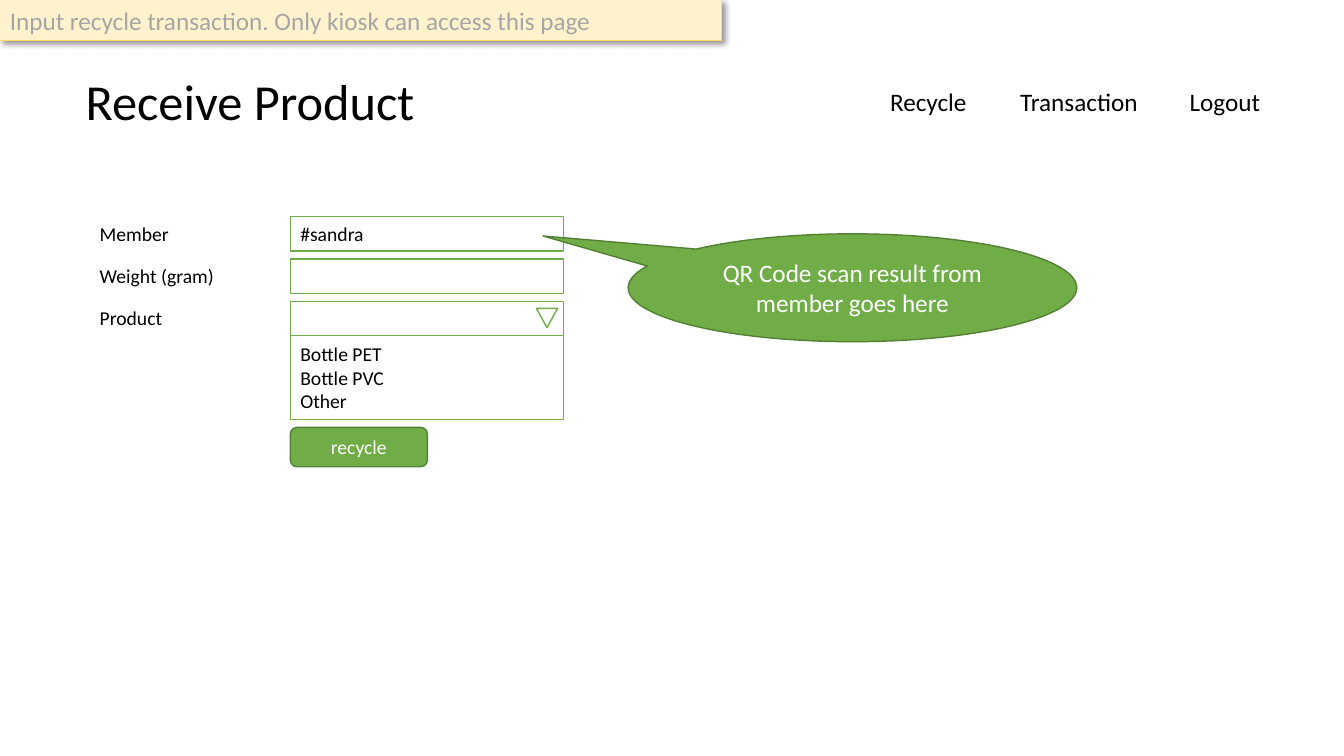
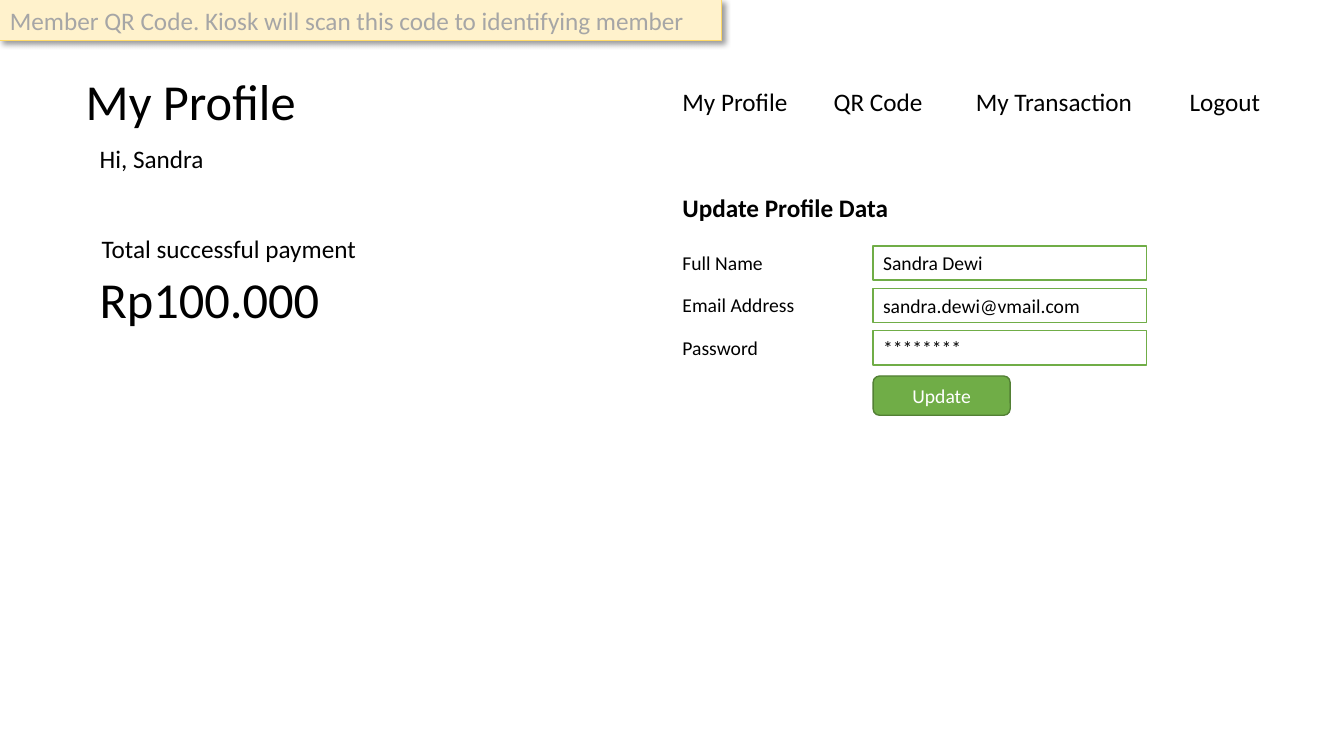
import dataclasses

import pptx
import pptx.dml.color
import pptx.enum.shapes
import pptx.enum.text
import pptx.oxml
import pptx.oxml.ns
import pptx.util

Inches = pptx.util.Inches
SHAPE = pptx.enum.shapes.MSO_SHAPE
ALIGN = pptx.enum.text.PP_ALIGN
ANCHOR = pptx.enum.text.MSO_ANCHOR
AUTO_SIZE = pptx.enum.text.MSO_AUTO_SIZE


@dataclasses.dataclass(frozen=True)
class Theme:
    font: str = "Calibri"
    black: str = "000000"
    white: str = "FFFFFF"
    green: str = "70AD47"
    dark_green: str = "538035"
    note_fill: str = "FFF2CC"
    note_line: str = "FFD966"
    note_text: str = "A6A6A6"
    large: int = 36
    medium: int = 18
    small: int = 14


THEME = Theme()
LINE_WIDTH = 1
FIELD_OFFSET = 1.99
FIELD_WIDTH = 2.71
ROW_HEIGHT = 0.34
ROW_STEP = 0.42


def color(code):
    return pptx.dml.color.RGBColor.from_string(code)


# Text
def write(shape, text, size=THEME.medium, ink=THEME.black, bold=False,
          align=ALIGN.LEFT, anchor=ANCHOR.TOP, auto_size=AUTO_SIZE.NONE):
    frame = shape.text_frame
    frame.word_wrap = True
    frame.auto_size = auto_size
    frame.vertical_anchor = anchor
    frame.text = text
    for para in frame.paragraphs:
        para.alignment = align
        for span in para.runs:
            span.font.name = THEME.font
            span.font.size = pptx.util.Pt(size)
            span.font.bold = bold
            span.font.color.rgb = color(ink)


def add_text(page, text, left, top, width, height=0.4, **style):
    box = page.shapes.add_textbox(
        Inches(left), Inches(top), Inches(width), Inches(height))
    write(box, text, auto_size=AUTO_SIZE.SHAPE_TO_FIT_TEXT, **style)


def add_title(page, text):
    title = page.shapes.title
    title.left, title.top = Inches(0.75), Inches(0.65)
    title.width, title.height = Inches(5.12), Inches(0.71)
    write(title, text, size=THEME.large)


# Shapes
def add_box(page, kind, left, top, width, height, fill=THEME.white,
            line=THEME.green, line_width=LINE_WIDTH):
    box = page.shapes.add_shape(
        kind, Inches(left), Inches(top), Inches(width), Inches(height))
    box.shadow.inherit = False
    box.fill.solid()
    box.fill.fore_color.rgb = color(fill)
    box.line.color.rgb = color(line)
    box.line.width = pptx.util.Pt(line_width)
    return box


def add_shadow(shape):
    effects = shape._element.spPr.find(pptx.oxml.ns.qn("a:effectLst"))
    effects.append(pptx.oxml.parse_xml(
        f'<a:outerShdw {pptx.oxml.ns.nsdecls("a")} blurRad="{pptx.util.Pt(4)}" '
        f'dist="{pptx.util.Pt(3)}" dir="2700000" algn="tl" rotWithShape="0">'
        f'<a:srgbClr val="{THEME.black}"><a:alpha val="40000"/></a:srgbClr>'
        '</a:outerShdw>'))


def add_note(page, text):
    note = add_box(page, SHAPE.RECTANGLE, 0, 0, 7.16, 0.4,
                   THEME.note_fill, THEME.note_line, 0.75)
    add_shadow(note)
    write(note, text, ink=THEME.note_text,
          auto_size=AUTO_SIZE.SHAPE_TO_FIT_TEXT)


# Form parts
def add_field(page, text, left, top, height=ROW_HEIGHT):
    field = add_box(page, SHAPE.RECTANGLE, left, top, FIELD_WIDTH, height)
    if text:
        write(field, text, size=THEME.small, anchor=ANCHOR.MIDDLE)


def add_form(page, left, top, rows):
    for index, (label, value) in enumerate(rows):
        row_top = top + index * ROW_STEP
        add_text(page, label, left, row_top, 3.35, ROW_HEIGHT,
                 size=THEME.small)
        add_field(page, value, left + FIELD_OFFSET, row_top)


def add_button(page, text, left, top):
    button = add_box(page, SHAPE.ROUNDED_RECTANGLE, left, top, 1.36, 0.39,
                     THEME.green, THEME.dark_green)
    write(button, text, size=THEME.small, ink=THEME.white,
          align=ALIGN.CENTER, anchor=ANCHOR.MIDDLE)


def add_options(page, options, left, top):
    arrow = add_box(page, SHAPE.ISOSCELES_TRIANGLE,
                    left + 2.44, top + 0.07, 0.21, 0.19)
    arrow.rotation = 180
    add_field(page, "\n".join(options), left, top + ROW_HEIGHT, 0.83)


def add_callout(page, text, left, top, width, height, tip):
    callout = add_box(page, SHAPE.OVAL_CALLOUT, left, top, width, height,
                      THEME.green, THEME.dark_green)
    callout.adjustments[0], callout.adjustments[1] = tip
    write(callout, text, ink=THEME.white, align=ALIGN.CENTER,
          anchor=ANCHOR.MIDDLE)


# Pages
def add_page(deck, title, note, menu):
    page = deck.slides.add_slide(deck.slide_layouts.get_by_name("Title Only"))
    add_title(page, title)
    add_note(page, note)
    for text, left, width in menu:
        add_text(page, text, left, 0.81, width)
    return page


def build_receive_page(deck):
    page = add_page(
        deck, "Receive Product",
        "Input recycle transaction. Only kiosk can access this page",
        [("Recycle", 8.73, 1.3), ("Transaction", 10.02, 1.43),
         ("Logout", 11.7, 1.43)])
    left, top = 0.89, 2.15
    field_left = left + FIELD_OFFSET
    rows = [("Member", "#sandra"), ("Weight (gram)", ""), ("Product", "")]
    add_form(page, left, top, rows)
    add_options(page, ["Bottle PET", "Bottle PVC", "Other"],
                field_left, top + 2 * ROW_STEP)
    add_button(page, "recycle", field_left, 4.24)
    add_callout(page, "QR Code scan result from member goes here",
                6.23, 2.32, 4.45, 1.07, tip=(-0.69, -0.48))


def build_profile_page(deck):
    page = add_page(
        deck, "My Profile",
        "Member QR Code. Kiosk will scan this code to identifying member",
        [("My Profile", 6.67, 1.87), ("QR Code", 8.17, 1.87),
         ("My Transaction", 9.58, 1.87), ("Logout", 11.7, 1.43)])
    # Payment summary
    add_text(page, "Hi, Sandra", 0.89, 1.37, 1.43)
    add_text(page, "Total successful payment", 0.91, 2.27, 2.92)
    add_text(page, "Rp100.000", 0.89, 2.61, 5.12, 0.71, size=THEME.large)
    # Profile form
    left = 6.67
    add_text(page, "Update Profile Data", left, 1.86, 2.67, bold=True)
    add_form(page, left, 2.44, [
        ("Full Name", "Sandra Dewi"),
        ("Email Address", "sandra.dewi@vmail.com"),
        ("Password", "********")])
    add_button(page, "Update", left + FIELD_OFFSET, 3.73)


def main():
    deck = pptx.Presentation()
    deck.slide_width, deck.slide_height = Inches(13.33), Inches(7.5)
    build_receive_page(deck)
    build_profile_page(deck)
    deck.save("out.pptx")


if __name__ == "__main__":
    main()
